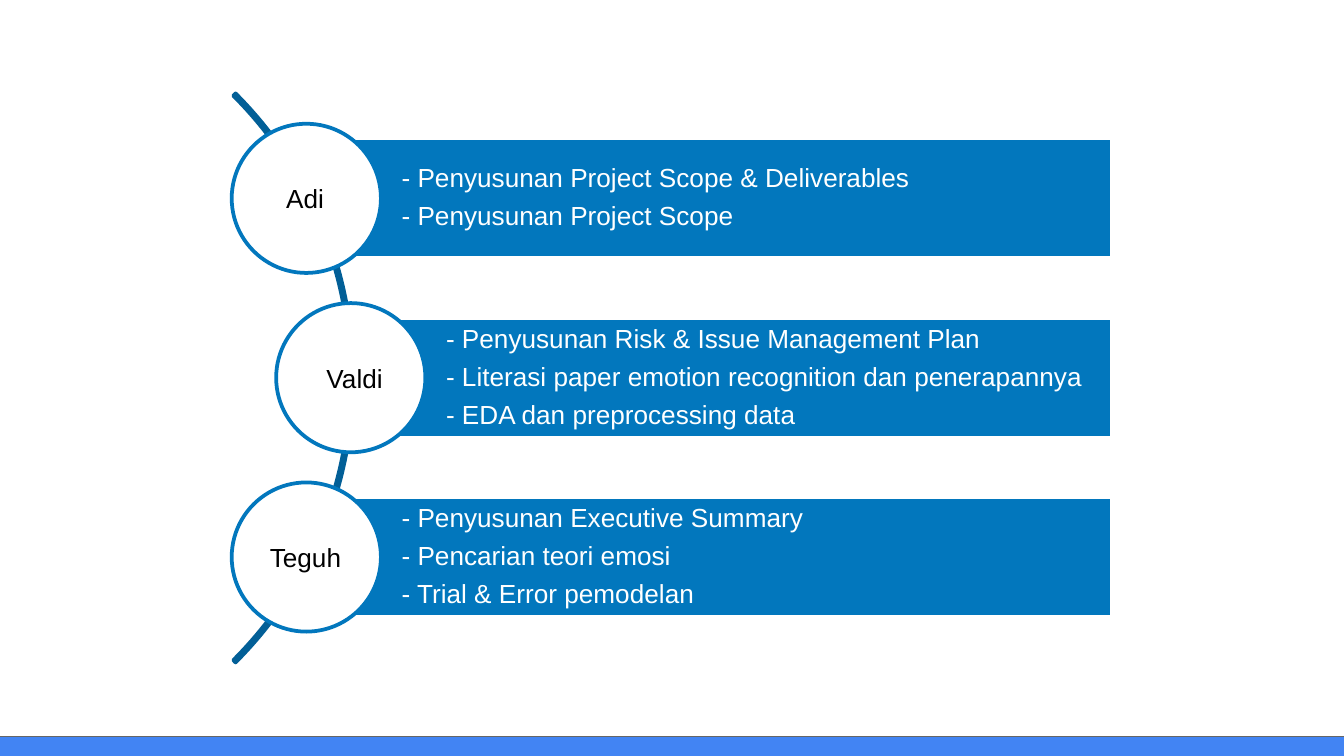
from dataclasses import dataclass
from typing import Any

from pptx import Presentation
from pptx.dml.color import RGBColor as Rgb
from pptx.enum.shapes import MSO_SHAPE as Kind
from pptx.enum.text import MSO_ANCHOR as Anchor, PP_ALIGN as Align
from pptx.util import Cm, Pt

HUES = {"white": "FFFFFF", "black": "000000", "blue": "0277BD",
        "deep": "025F97", "foot": "4284F3", "gray": "666666"}

TEAM = [
    ("Adi", 5.79, 5.16, 1.24, [
        "- Penyusunan Project Scope & Deliverables",
        "- Penyusunan Project Scope"]),
    ("Valdi", 6.63, 5.92, 1.63, [
        "- Penyusunan Risk & Issue Management Plan",
        "- Literasi paper emotion recognition dan penerapannya",
        "- EDA dan preprocessing data"]),
    ("Teguh", 5.79, 4.85, 1.93, [
        "- Penyusunan Executive Summary",
        "- Pencarian teori emosi",
        "- Trial & Error pemodelan"]),
]
STEP = 3.39
RIGHT = 21.01


@dataclass
class Deck:
    """Holds the style and the current slide, and draws each kind of element."""
    slide: Any
    font: str = "Arial"
    size: float = 14

    def shape(self, kind, box, fill, line, width=2):
        item = self.slide.shapes.add_shape(kind, *map(Cm, box))
        item.shadow.inherit = False
        item.fill.solid()
        item.fill.fore_color.rgb = Rgb.from_string(HUES[fill])
        item.line.color.rgb = Rgb.from_string(HUES[line])
        item.line.width = Pt(width)
        return item

    def style(self, para, hue):
        para.alignment = Align.LEFT
        for run in para.runs:
            run.font.name = self.font
            run.font.size = Pt(self.size)
            run.font.color.rgb = Rgb.from_string(HUES[hue])

    def arc(self, box):
        item = self.shape(Kind.BLOCK_ARC, box, "deep", "deep")
        for i, value in enumerate((189, 27, 0.004)):
            item.adjustments[i] = value

    def bar(self, box, tasks):
        frame = self.shape(Kind.RECTANGLE, box, "blue", "white").text_frame
        frame.word_wrap = True
        frame.vertical_anchor = Anchor.MIDDLE
        frame.margin_left = Cm(1.8)
        frame.margin_right = frame.margin_top = frame.margin_bottom = Cm(0.1)
        frame.text = "\n".join(tasks)
        for para in frame.paragraphs:
            para.line_spacing = 0.9
            para.space_after = Pt(5.3)
            self.style(para, "white")

    def label(self, box, text):
        frame = self.slide.shapes.add_textbox(*map(Cm, box)).text_frame
        frame.word_wrap = False
        frame.text = text
        self.style(frame.paragraphs[0], "black")


def main():
    show = Presentation()
    show.slide_width, show.slide_height = Cm(25.4), Cm(14.29)
    deck = Deck(show.slides.add_slide(show.slide_layouts[6]))
    deck.shape(Kind.RECTANGLE, (-0.1, 13.92, 25.86, 0.76), "foot", "gray", 0.75)
    deck.arc((-8.53, -0.46, 15.21, 15.21))
    for row, (name, left, start, width, tasks) in enumerate(TEAM):
        drop = row * STEP
        deck.bar((left, 2.62 + drop, RIGHT - left, 2.26), tasks)
        deck.shape(Kind.OVAL, (left - 1.41, 2.34 + drop, 2.82, 2.82),
                   "white", "blue")
        deck.label((start, 3.33 + drop, width, 0.86), name)
    show.save("out.pptx")


if __name__ == "__main__":
    main()
